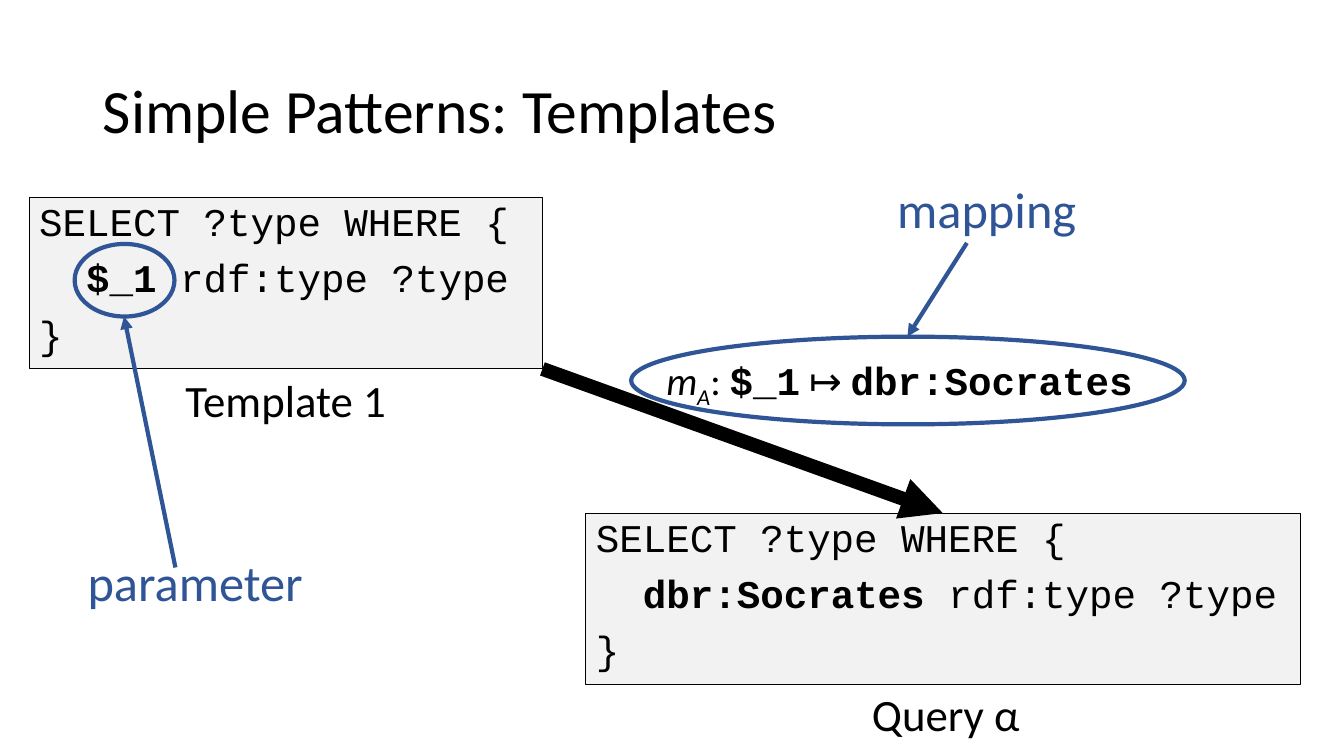
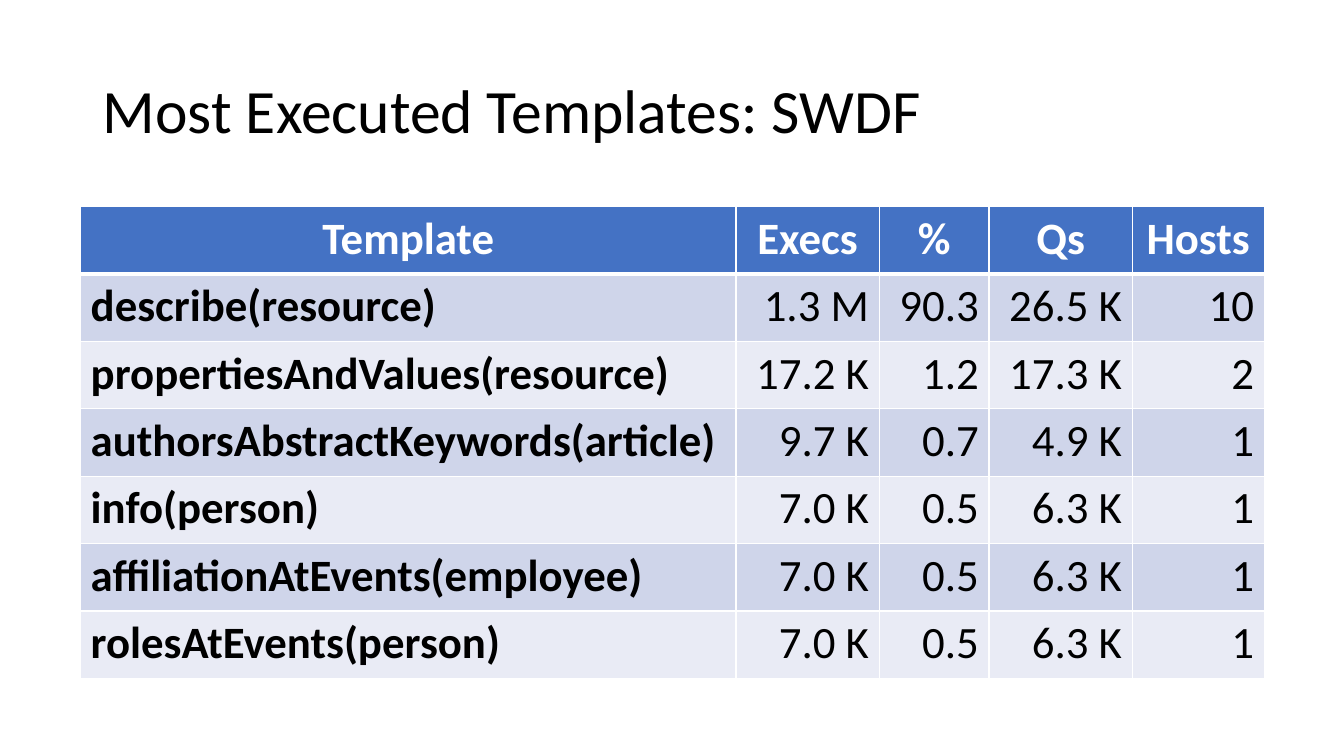
from lxml import etree
from pptx import Presentation
from pptx.dml.color import RGBColor
from pptx.enum.shapes import MSO_CONNECTOR, MSO_SHAPE
from pptx.enum.text import MSO_ANCHOR, MSO_AUTO_SIZE, PP_ALIGN
from pptx.oxml.ns import qn
from pptx.util import Emu, Pt

PX = 9144  # EMU per px, 100 px to the inch
STRAIGHT = MSO_CONNECTOR.STRAIGHT
RECTANGLE, OVAL = MSO_SHAPE.RECTANGLE, MSO_SHAPE.OVAL
TOP, MIDDLE = MSO_ANCHOR.TOP, MSO_ANCHOR.MIDDLE
NO_AUTOFIT = MSO_AUTO_SIZE.NONE
LEFT, CENTER, RIGHT = PP_ALIGN.LEFT, PP_ALIGN.CENTER, PP_ALIGN.RIGHT

BLACK = RGBColor(0x00, 0x00, 0x00)
WHITE = RGBColor(0xFF, 0xFF, 0xFF)
CODE_GRAY = RGBColor(0xF2, 0xF2, 0xF2)
NOTE_BLUE = RGBColor(0x2F, 0x55, 0x97)
HEADER_BLUE = RGBColor(0x44, 0x72, 0xC4)
BANDS = (RGBColor(0xCF, 0xD5, 0xEA), RGBColor(0xE9, 0xEB, 0xF5))

SANS, MONO = "Calibri", "Courier New"
TITLE_BOX = (92, 40, 1150, 145)
LABEL_SIZE = (246, 70)
TITLE_LAYOUT, BODY_LAYOUT = 5, 1

TEMPLATE_HEADERS = ("Template", "Execs", "%", "Qs", "Hosts")
TEMPLATE_ROWS = (
    ("describe(resource)", "1.3 M", "90.3", "26.5 K", "10"),
    ("propertiesAndValues(resource)", "17.2 K", "1.2", "17.3 K", "2"),
    ("authorsAbstractKeywords(article)", "9.7 K", "0.7", "4.9 K", "1"),
    ("info(person)", "7.0 K", "0.5", "6.3 K", "1"),
    ("affiliationAtEvents(employee)", "7.0 K", "0.5", "6.3 K", "1"),
    ("rolesAtEvents(person)", "7.0 K", "0.5", "6.3 K", "1"),
)
COLUMN_WIDTHS = (650, 142, 109, 142, 131)


def emu(*lengths):
    return [Emu(length * PX) for length in lengths]


def apply(target, values):
    for name, value in values.items():
        setattr(target, name, value)


def place(shape, box):
    apply(shape, dict(zip(("left", "top", "width", "height"), emu(*box))))


def add_run(paragraph, text, size, color=BLACK, subscript=False, **values):
    run = paragraph.add_run()
    run.text = text
    apply(run.font, {"name": SANS, "size": Pt(size), "bold": False, **values})
    run.font.color.rgb = color
    if subscript:
        run.font._element.set("baseline", "-25000")


def write(shape, lines, size, color=BLACK, anchor=TOP):
    """Fill the shape with lines; each line is a list of (text, run formats)."""
    frame = shape.text_frame
    apply(frame, {"word_wrap": True, "auto_size": NO_AUTOFIT, "vertical_anchor": anchor})
    for index, runs in enumerate(lines):
        paragraph = frame.add_paragraph() if index else frame.paragraphs[0]
        properties = paragraph._p.get_or_add_pPr()
        apply(paragraph, {"alignment": LEFT, "line_spacing": 0.9,
                          "space_before": Pt(10 if index else 0)})
        properties.set("marL", "0")
        properties.set("indent", "0")
        etree.SubElement(properties, qn("a:buNone"))
        for text, values in runs:
            add_run(paragraph, text, size, color, **values)


def add_title_slide(presentation, layout, title):
    slide = presentation.slides.add_slide(presentation.slide_layouts[layout])
    place(slide.shapes.title, TITLE_BOX)
    write(slide.shapes.title, [[(title, {})]], 44, anchor=MIDDLE)
    return slide


def add_text(slide, box, runs, size, color=BLACK, anchor=MIDDLE):
    write(slide.shapes.add_textbox(*emu(*box)), [runs], size, color, anchor)


def add_label(slide, left, top, text, size=32, color=BLACK):
    add_text(slide, (left, top, *LABEL_SIZE), [(text, {})], size, color)


def fill_code_box(shape, box, subject):
    """Show the type query for the given subject in a gray framed box."""
    place(shape, box)
    shape.fill.solid()
    shape.fill.fore_color.rgb = CODE_GRAY
    shape.line.color.rgb = BLACK
    shape.line.width = Pt(0.75)
    code, strong = {"name": MONO}, {"name": MONO, "bold": True}
    write(shape, [
        [("SELECT ?type WHERE {", code)],
        [("  ", code), (subject + " ", strong), ("rdf:type ?type", code)],
        [("}", code)],
    ], 28)


def add_ring(slide, box):
    ring = slide.shapes.add_shape(OVAL, *emu(*box))
    ring.shadow.inherit = False
    ring.fill.background()
    ring.line.color.rgb = NOTE_BLUE
    ring.line.width = Pt(3)


def add_arrow(slide, start, end, color=NOTE_BLUE, width=3):
    arrow = slide.shapes.add_connector(STRAIGHT, *emu(*start, *end))
    arrow.line.color.rgb = color
    arrow.line.width = Pt(width)
    etree.SubElement(arrow.line._get_or_add_ln(), qn("a:tailEnd"), type="triangle")
    etree.SubElement(arrow._element.spPr, qn("a:effectLst"))


def top_center(box):
    left, top, width, _ = box
    return left + width // 2, top


def bottom_center(box):
    left, top, width, height = box
    return left + width // 2, top + height


def build_patterns_slide(presentation):
    slide = add_title_slide(presentation, BODY_LAYOUT, "Simple Patterns: Templates")
    template_box, query_box = (29, 196, 509, 170), (581, 509, 709, 170)
    parameter_ring, mapping_ring = (74, 242, 99, 72), (626, 334, 549, 87)

    template = slide.shapes.add_shape(RECTANGLE, *emu(*template_box))
    template.shadow.inherit = False
    fill_code_box(template, template_box, "$_1")
    fill_code_box(slide.placeholders[1], query_box, "dbr:Socrates")
    add_label(slide, 174, 365, "Template 1")
    add_label(slide, 855, 676, "Query α")

    italic, strong = {"italic": True}, {"name": MONO, "bold": True}
    add_text(slide, (651, 349, 509, 70), [
        ("m", italic), ("A", {"italic": True, "subscript": True}), (": ", {}),
        ("$_1", strong), (" ↦ ", {}), ("dbr:Socrates", strong),
    ], 28, anchor=TOP)

    left, top, width, height = template_box
    add_arrow(slide, (left + width, top + height), top_center(query_box), BLACK, 10)
    add_ring(slide, parameter_ring)
    add_arrow(slide, (174, 563), bottom_center(parameter_ring))
    add_label(slide, 77, 546, "parameter", 36, NOTE_BLUE)
    add_label(slide, 880, 176, "mapping", 36, NOTE_BLUE)
    add_ring(slide, mapping_ring)
    add_arrow(slide, (959, 241), top_center(mapping_ring))


def set_borders(cell, bottom):
    """Draw white borders, 1 pt wide except for the bottom one."""
    properties = cell._tc.get_or_add_tcPr()
    widths = {"a:lnL": 1, "a:lnR": 1, "a:lnT": 1, "a:lnB": bottom}
    for index, (tag, width) in enumerate(widths.items()):
        line = etree.Element(qn(tag), w=str(Pt(width)))
        fill = etree.SubElement(line, qn("a:solidFill"))
        etree.SubElement(fill, qn("a:srgbClr"), val=str(WHITE))
        properties.insert(index, line)


def format_cell(cell, text, row, column):
    header = row == 0
    cell.fill.solid()
    cell.fill.fore_color.rgb = HEADER_BLUE if header else BANDS[(row - 1) % 2]
    set_borders(cell, 3 if header else 1)
    paragraph = cell.text_frame.paragraphs[0]
    paragraph.alignment = CENTER if header else RIGHT if column else LEFT
    add_run(paragraph, text, 32, WHITE if header else BLACK,
            bold=header or column == 0)


def add_template_table(slide, box):
    rows = (TEMPLATE_HEADERS, *TEMPLATE_ROWS)
    table = slide.shapes.add_table(len(rows), len(COLUMN_WIDTHS), *emu(*box)).table
    for column, width in zip(table.columns, emu(*COLUMN_WIDTHS)):
        column.width = width
    for row, texts in enumerate(rows):
        for column, text in enumerate(texts):
            format_cell(table.cell(row, column), text, row, column)


def build_executions_slide(presentation):
    slide = add_title_slide(presentation, TITLE_LAYOUT, "Most Executed Templates: SWDF")
    add_template_table(slide, (80, 205, sum(COLUMN_WIDTHS), 468))


def main():
    presentation = Presentation()
    presentation.slide_width, presentation.slide_height = emu(1333, 750)
    build_patterns_slide(presentation)
    build_executions_slide(presentation)
    presentation.save("out.pptx")


if __name__ == "__main__":
    main()
